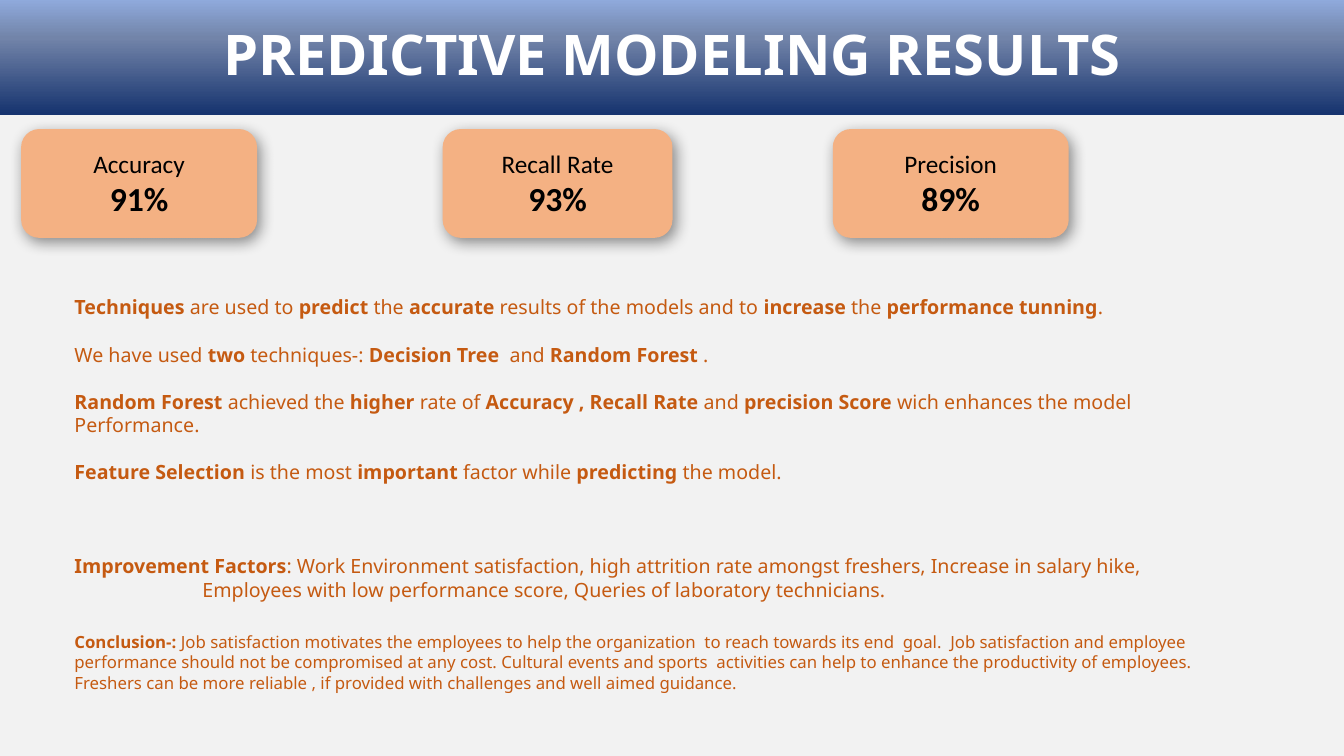
"""Builds the predictive modeling results slide."""
from dataclasses import dataclass

from lxml import etree
from pptx import Presentation
from pptx.dml.color import RGBColor
from pptx.enum.shapes import MSO_SHAPE
from pptx.enum.text import MSO_ANCHOR, PP_ALIGN
from pptx.oxml import parse_xml
from pptx.oxml.ns import nsdecls, qn
from pptx.util import Emu, Pt

RECT = MSO_SHAPE.RECTANGLE
ROUNDED = MSO_SHAPE.ROUNDED_RECTANGLE
MIDDLE = MSO_ANCHOR.MIDDLE
CENTER = PP_ALIGN.CENTER
LEFT = PP_ALIGN.LEFT
PX = 9144


@dataclass(frozen=True)
class Theme:
    """Colours, fonts and type sizes of the slide."""
    background: str = "F2F2F2"
    banner: tuple = ((0, "8FAADC"), (33, "7284A9"), (99, "17346F"))
    card: str = "F4B183"
    card_text: str = "000000"
    title_text: str = "FFFFFF"
    body_text: str = "C55A11"
    shadow: str = "000000"
    head_font: str = "Noto Sans"
    card_font: str = "Calibri"
    title_size: int = 40
    label_size: int = 18
    value_size: int = 24
    body_size: int = 14
    small_size: int = 12


class Deck:
    """Draws themed elements on the current slide, in px."""

    def __init__(self, theme, width, height):
        self.theme = theme
        self.prs = Presentation()
        self.prs.slide_width, self.prs.slide_height = Emu(width * PX), Emu(height * PX)
        self.s = self.prs.slides.add_slide(self.prs.slide_layouts[6])
        fill = self.s.background.fill
        fill.solid()
        fill.fore_color.rgb = RGBColor.from_string(theme.background)

    def shape(self, kind, box):
        sp = self.s.shapes.add_shape(kind, *(Emu(v * PX) for v in box))
        sp.shadow.inherit = False
        sp.line.fill.background()
        sp.text_frame.word_wrap = True
        sp.text_frame.vertical_anchor = MIDDLE
        return sp

    def paragraph(self, tf, text, font, size, color, align, bold=None):
        first = not tf.paragraphs[0].runs
        p = tf.paragraphs[0] if first else tf.add_paragraph()
        p.alignment = align
        p.font.name, p.font.size = font, Pt(size)
        p.font.color.rgb = RGBColor.from_string(color)
        if bold is not None:
            p.font.bold = bold
        for i, part in enumerate(text.split("*")):
            if part:
                r = p.add_run()
                r.text = part
                if bold is None:
                    r.font.bold = i % 2 == 1
        return p

    def banner(self, text, box):
        t = self.theme
        sp = self.shape(RECT, box)
        sp.fill.gradient()
        sp.fill.gradient_angle = 270
        stops = sp._element.spPr.find(qn("a:gradFill")).find(qn("a:gsLst"))
        for gs in list(stops):
            stops.remove(gs)
        for pos, color in t.banner:
            gs = etree.SubElement(stops, qn("a:gs"), pos=str(pos * 1000))
            etree.SubElement(gs, qn("a:srgbClr"), val=color)
        p = self.paragraph(sp.text_frame, text, t.head_font, t.title_size,
                           t.title_text, CENTER, True)
        p.line_spacing = 0.9

    def card(self, label, value, box):
        t = self.theme
        sp = self.shape(ROUNDED, box)
        sp.fill.solid()
        sp.fill.fore_color.rgb = RGBColor.from_string(t.card)
        spPr = sp._element.spPr
        spPr.remove(spPr.find(qn("a:effectLst")))
        spPr.append(parse_xml(
            f'<a:effectLst {nsdecls("a")}><a:outerShdw blurRad="139700" dist="50800" '
            f'dir="3300000" algn="ctr" rotWithShape="0"><a:srgbClr val="{t.shadow}">'
            '<a:alpha val="43000"/></a:srgbClr></a:outerShdw></a:effectLst>'))
        for text, size, bold in ((label, t.label_size, False), (value, t.value_size, True)):
            self.paragraph(sp.text_frame, text, t.card_font, size, t.card_text, CENTER, bold)

    def body(self, items, box):
        t = self.theme
        tf = self.s.shapes.add_textbox(*(Emu(v * PX) for v in box)).text_frame
        tf.word_wrap = True
        tf.margin_top = Emu(7 * PX)
        for text, size, gap, indent in items:
            p = self.paragraph(tf, text, t.head_font, size, t.body_text, LEFT)
            p.line_spacing = Pt(size * 1.2)
            p.space_before = Pt(gap)
            if indent:
                p._p.get_or_add_pPr().set("marL", str(indent * PX))


def main():
    theme = Theme()
    deck = Deck(theme, 1333, 750)
    deck.banner("PREDICTIVE MODELING RESULTS", (0, 0, 1333, 114))
    for label, value, left, width in (("Accuracy", "91%", 21, 234),
                                      ("Recall Rate", "93%", 439, 228),
                                      ("Precision", "89%", 826, 234)):
        deck.card(label, value, (left, 128, width, 108))
    size = theme.body_size
    line = size * 1.2
    deck.body((
        ("*Techniques* are used to *predict* the *accurate* results of the models and to "
         "*increase* the *performance tunning*.", size, 0, 0),
        ("We have used *two* techniques-: *Decision Tree  *and *Random Forest *.",
         size, line, 0),
        ("*Random Forest *achieved the *higher* rate of *Accuracy , Recall Rate *and "
         "*precision Score *wich enhances the model Performance.", size, line, 0),
        ("*Feature Selection *is the most *important* factor while *predicting* the model.",
         size, line, 0),
        ("*Improvement Factors*: Work Environment satisfaction, high attrition rate amongst "
         "freshers, Increase in salary hike,", size, 3 * line, 0),
        ("Employees with low performance score, Queries of laboratory technicians.",
         size, 0, 127),
        ("*Conclusion-: *Job satisfaction motivates the employees to help the organization  "
         "to reach towards its end  goal.  Job satisfaction and employee  performance should "
         "not be compromised at any cost. Cultural events and sports  activities can help to "
         "enhance the productivity of employees. Freshers can be more reliable , if provided "
         "with challenges and well aimed guidance.", theme.small_size, 22, 0),
    ), (64, 286, 1130, 468))
    deck.prs.save("out.pptx")


if __name__ == "__main__":
    main()
